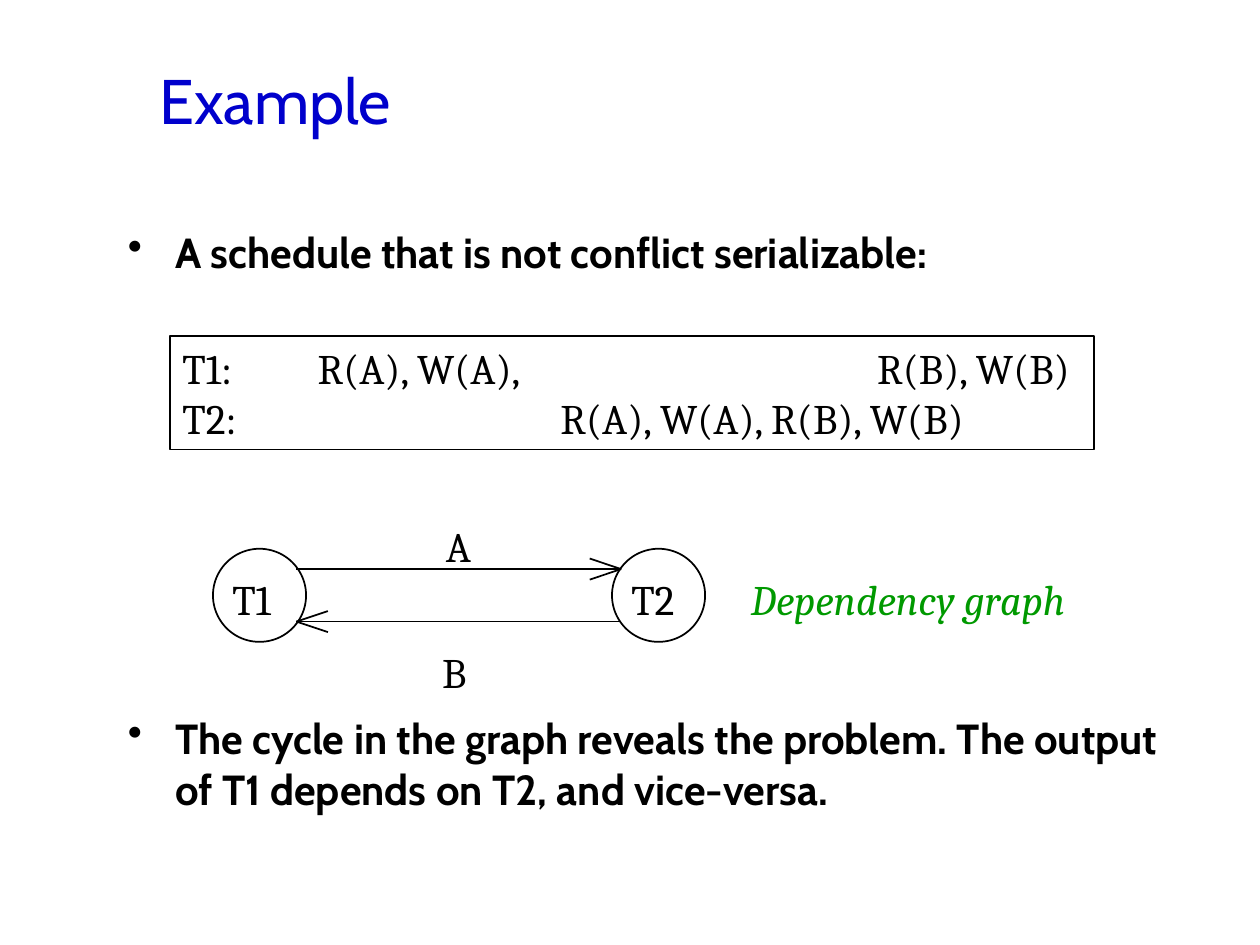
from dataclasses import dataclass

from lxml import etree
from pptx import Presentation
from pptx.dml.color import RGBColor
from pptx.enum.shapes import MSO_CONNECTOR, MSO_SHAPE
from pptx.enum.text import MSO_ANCHOR, PP_ALIGN
from pptx.oxml.ns import qn
from pptx.util import Pt

STRAIGHT = MSO_CONNECTOR.STRAIGHT
OVAL = MSO_SHAPE.OVAL
RECTANGLE = MSO_SHAPE.RECTANGLE
TOP = MSO_ANCHOR.TOP
MIDDLE = MSO_ANCHOR.MIDDLE
LEFT = PP_ALIGN.LEFT


@dataclass(frozen=True)
class Theme:
    heading_font: str = "Cabin"
    text_font: str = "Cambria"
    title_size: int = 36
    text_size: int = 24
    line_width: int = 1
    title_color: RGBColor = RGBColor(0x00, 0x00, 0xCC)
    ink: RGBColor = RGBColor(0x00, 0x00, 0x00)
    paper: RGBColor = RGBColor(0xFF, 0xFF, 0xFF)
    caption_color: RGBColor = RGBColor(0x00, 0x99, 0x00)


THEME = Theme()


def style_paragraph(paragraph, font, size, color, bold=False, italic=False):
    paragraph.alignment = LEFT
    for run in paragraph.runs:
        run.font.name = font
        run.font.size = Pt(size)
        run.font.color.rgb = color
        run.font.bold = bold
        run.font.italic = italic


def add_text(slide, text, left, top, width, height, anchor=TOP):
    shape = slide.shapes.add_textbox(Pt(left), Pt(top), Pt(width), Pt(height))
    text_frame = shape.text_frame
    text_frame.word_wrap = True
    text_frame.vertical_anchor = anchor
    text_frame.text = text
    return text_frame


def add_title(slide, text):
    text_frame = add_text(slide, text, 84, 12, 612, 90, MIDDLE)
    style_paragraph(text_frame.paragraphs[0], THEME.heading_font,
                    THEME.title_size, THEME.title_color)


def add_bullets(slide, texts, gap):
    text_frame = add_text(slide, "\n".join(texts), 66, 126, 612, 366)
    for index, paragraph in enumerate(text_frame.paragraphs):
        if index:
            paragraph.space_before = Pt(gap)
        properties = paragraph._p.get_or_add_pPr()
        properties.set("marL", str(Pt(27)))
        properties.set("indent", str(-Pt(27)))
        etree.SubElement(properties, qn("a:buChar")).set("char", "•")
        style_paragraph(paragraph, THEME.heading_font, THEME.text_size,
                        THEME.ink, bold=True)


def add_label(slide, text, left, top, width, color=THEME.ink, italic=False):
    text_frame = add_text(slide, text, left, top, width, 36)
    style_paragraph(text_frame.paragraphs[0], THEME.text_font,
                    THEME.text_size, color, italic=italic)


def add_outlined_shape(slide, kind, left, top, width, height):
    shape = slide.shapes.add_shape(kind, Pt(left), Pt(top), Pt(width), Pt(height))
    shape.shadow.inherit = False
    shape.fill.background()
    shape.line.color.rgb = THEME.ink
    shape.line.width = Pt(THEME.line_width)
    return shape


def add_schedule(slide, rows):
    shape = add_outlined_shape(slide, RECTANGLE, 97.2, 192.2, 527.8, 64.8)
    shape.fill.solid()
    shape.fill.fore_color.rgb = THEME.paper
    text_frame = shape.text_frame
    text_frame.word_wrap = True
    text_frame.vertical_anchor = TOP
    text_frame.text = "\n".join(text for text, stops in rows)
    for paragraph, (text, stops) in zip(text_frame.paragraphs, rows):
        properties = paragraph._p.get_or_add_pPr()
        tab_list = etree.SubElement(properties, qn("a:tabLst"))
        for stop in stops:
            tab = etree.SubElement(tab_list, qn("a:tab"))
            tab.set("pos", str(Pt(stop)))
            tab.set("algn", "l")
        style_paragraph(paragraph, THEME.text_font, THEME.text_size, THEME.ink)


def add_node(slide, text, left):
    add_outlined_shape(slide, OVAL, left, 313.6, 53.2, 53.2)
    add_label(slide, text, left + 4, 324, 41)


def add_line(slide, start_x, start_y, end_x, end_y):
    line = slide.shapes.add_connector(
        STRAIGHT, Pt(start_x), Pt(start_y), Pt(end_x), Pt(end_y))
    line.line.color.rgb = THEME.ink
    line.line.width = Pt(THEME.line_width)
    etree.SubElement(line._element.spPr, qn("a:effectLst"))


def add_arrow(slide, start_x, end_x, y):
    back = -18 if end_x > start_x else 18
    add_line(slide, start_x, y, end_x, y)
    for rise in (-6, 6):
        add_line(slide, end_x + back, y + rise, end_x, y)


def main():
    presentation = Presentation()
    presentation.slide_width = Pt(720)
    presentation.slide_height = Pt(540)
    slide = presentation.slides.add_slide(presentation.slide_layouts[6])

    add_title(slide, "Example")
    add_bullets(slide, [
        "A schedule that is not conflict serializable:",
        "The cycle in the graph reveals the problem. "
        "The output of T1 depends on T2, and vice-versa.",
    ], gap=249)

    add_node(slide, "T1", 121.7)
    add_node(slide, "T2", 349.7)
    add_arrow(slide, 169.4, 355, 325.2)
    add_label(slide, "A", 247.7, 293.8, 29.5)
    add_arrow(slide, 355, 169.4, 355.2)
    add_label(slide, "B", 245.5, 365.8, 29.5)
    add_label(slide, "Dependency graph", 422, 324, 215,
              THEME.caption_color, italic=True)

    add_schedule(slide, [
        ("T1:\tR(A), W(A),\tR(B), W(B)", (77.2, 397)),
        ("T2:\tR(A), W(A), R(B), W(B)", (216,)),
    ])
    presentation.save("out.pptx")


if __name__ == "__main__":
    main()
